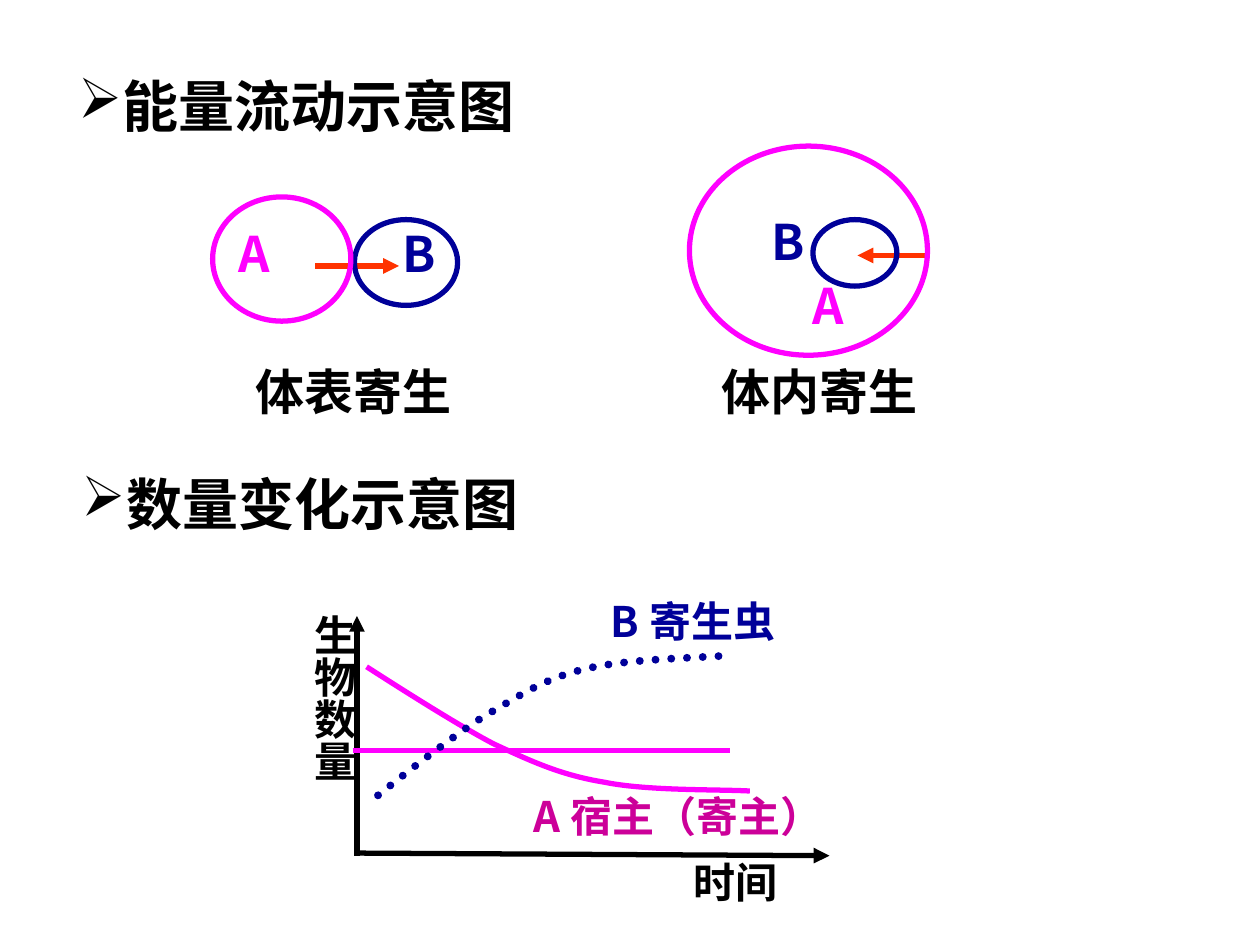
from dataclasses import dataclass

from lxml.etree import SubElement
from pptx import Presentation
from pptx.dml.color import RGBColor
from pptx.enum.dml import MSO_LINE
from pptx.enum.shapes import MSO_CONNECTOR, MSO_SHAPE
from pptx.enum.text import MSO_ANCHOR, MSO_AUTO_SIZE, PP_ALIGN
from pptx.oxml.ns import qn
from pptx.util import Pt

FONT = "Noto Sans CJK SC"
BLACK, MAGENTA, NAVY = "000000", "FF00FF", "000099"
ORANGE, PURPLE = "FF3300", "CC0099"
Box = tuple[float, float, float, float]
Point = tuple[float, float]


@dataclass
class Label:
    text: str
    box: Box
    size: float = 28
    color: str = BLACK
    wrap: bool = False
    vertical: bool = False
    bullet: bool = False


@dataclass
class Organism:
    name: str
    ellipse: Box
    label_at: Point
    color: str


@dataclass
class Line:
    start: Point
    end: Point
    color: str
    arrow: bool = True


@dataclass
class Curve:
    points: list[Point]  # start, then two controls and an end per segment
    color: str
    width: float = 3
    dotted: bool = False


def rgb(color: str) -> RGBColor:
    return RGBColor.from_string(color)


def set_line(line, color: str, width: float = 3) -> None:
    line.color.rgb = rgb(color)
    line.width = Pt(width)


def format_label(sp, label: Label) -> None:
    sp.left, sp.top, sp.width, sp.height = map(Pt, label.box)
    tf = sp.text_frame
    tf.text = label.text
    tf.word_wrap = label.wrap
    tf.auto_size = MSO_AUTO_SIZE.SHAPE_TO_FIT_TEXT
    tf.vertical_anchor = MSO_ANCHOR.TOP
    if label.vertical:
        tf._txBody.bodyPr.set("vert", "eaVert")
    p = tf.paragraphs[0]
    p.alignment = PP_ALIGN.LEFT
    if label.bullet:
        pPr = p._p.get_or_add_pPr()
        pPr.set("marL", str(Pt(22.5)))
        pPr.set("indent", str(-Pt(22.5)))
        SubElement(pPr, qn("a:buChar")).set("char", "➢")
    r = p.runs[0]
    r.font.size = Pt(label.size)
    r.font.bold = True
    r.font.color.rgb = rgb(label.color)
    r.font.name = FONT
    SubElement(r._r.rPr, qn("a:ea")).set("typeface", FONT)


def add_label(s, label: Label) -> None:
    format_label(s.shapes.add_textbox(*map(Pt, label.box)), label)


def add_organism(s, organism: Organism) -> None:
    sp = s.shapes.add_shape(MSO_SHAPE.OVAL, *map(Pt, organism.ellipse))
    sp.shadow.inherit = False
    sp.fill.background()
    set_line(sp.line, organism.color)
    add_label(s, Label(organism.name, (*organism.label_at, 35, 41), color=organism.color))


def add_line(s, line: Line) -> None:
    cxn = s.shapes.add_connector(MSO_CONNECTOR.STRAIGHT, *map(Pt, line.start + line.end))
    set_line(cxn.line, line.color)
    if line.arrow:
        SubElement(cxn.line._get_or_add_ln(), qn("a:tailEnd")).set("type", "triangle")
    SubElement(cxn._element.spPr, qn("a:effectLst"))


def add_curve(s, curve: Curve) -> None:
    points = [(Pt(x), Pt(y)) for x, y in curve.points]
    builder = s.shapes.build_freeform(*points[0])
    builder.add_line_segments(points[1:], close=False)
    sp = builder.convert_to_shape()
    # Turn each three straight segments into one Bézier segment
    path = sp._element.find(".//" + qn("a:path"))
    segments = path.findall(qn("a:lnTo"))
    for i in range(0, len(segments), 3):
        bezier = SubElement(path, qn("a:cubicBezTo"))
        for segment in segments[i:i + 3]:
            bezier.append(segment[0])
            path.remove(segment)
    sp.shadow.inherit = False
    sp.fill.background()
    set_line(sp.line, curve.color, curve.width)
    if curve.dotted:
        sp.line.dash_style = MSO_LINE.ROUND_DOT
        sp.line._get_or_add_ln().set("cap", "rnd")


TITLE = Label("能量流动示意图", (37.5, 37.5, 266.5, 46), 32, bullet=True)
LABELS = [
    Label("数量变化示意图", (39.5, 264.5, 266.5, 46), 32, bullet=True),
    Label("体表寄生", (139, 203, 127.5, 41)),
    Label("体内寄生", (405.5, 203, 127.5, 41)),
]
ENERGY_ARROWS = [
    Line((180, 152), (228, 152), ORANGE),
    Line((530, 146), (490, 146), ORANGE),
]
ORGANISMS = [
    Organism("B", (202.5, 125.5, 59, 49), (223, 124), NAVY),
    Organism("A", (121.5, 112.5, 79, 71), (129, 124), MAGENTA),
    Organism("B", (464.5, 125.5, 48, 38), (433.5, 117.5), NAVY),
    Organism("A", (394, 83.5, 136, 119.5), (457, 154), MAGENTA),
]
HOST = Curve([(209.5, 381), (222, 389), (260, 413.5), (282, 425), (304.5, 435.5),
              (321, 443), (345.5, 447), (370, 452), (411, 451), (428.5, 452)], MAGENTA)
PARASITE = Curve([(216, 454.5), (226, 446.5), (258.5, 420.5), (278, 408.5), (298, 397),
                  (310.5, 388), (333.5, 382.5), (356.5, 376.5), (399.5, 376), (417, 374.5)],
                 NAVY, 4.5, dotted=True)
GRAPH_LINES = [
    Line((204, 489), (204, 352), BLACK),
    Line((204, 487.5), (474, 489), BLACK),
    Line((201.5, 429), (417, 429), MAGENTA, arrow=False),
]
GRAPH_LABELS = [
    Label("生物数量", (165, 344, 44, 132.5), 24, wrap=True, vertical=True),
    Label("时间", (389, 486, 90.5, 36), 24, wrap=True),
    Label("A 宿主（寄主）", (298, 448, 198.5, 36), 24, PURPLE, wrap=True),
    Label("B 寄生虫", (342, 337, 129, 36), 24, NAVY, wrap=True),
]


def main() -> None:
    prs = Presentation()
    prs.slide_width, prs.slide_height = Pt(720), Pt(540)
    s = prs.slides.add_slide(prs.slide_layouts[5])

    # Headings and captions
    format_label(s.shapes.title, TITLE)
    for label in LABELS:
        add_label(s, label)

    # Energy flow between host and parasite
    for arrow in ENERGY_ARROWS:
        add_line(s, arrow)
    for organism in ORGANISMS:
        add_organism(s, organism)

    # Population graph
    add_curve(s, HOST)
    for line in GRAPH_LINES:
        add_line(s, line)
    add_curve(s, PARASITE)
    for label in GRAPH_LABELS:
        add_label(s, label)

    prs.save("out.pptx")


if __name__ == "__main__":
    main()
